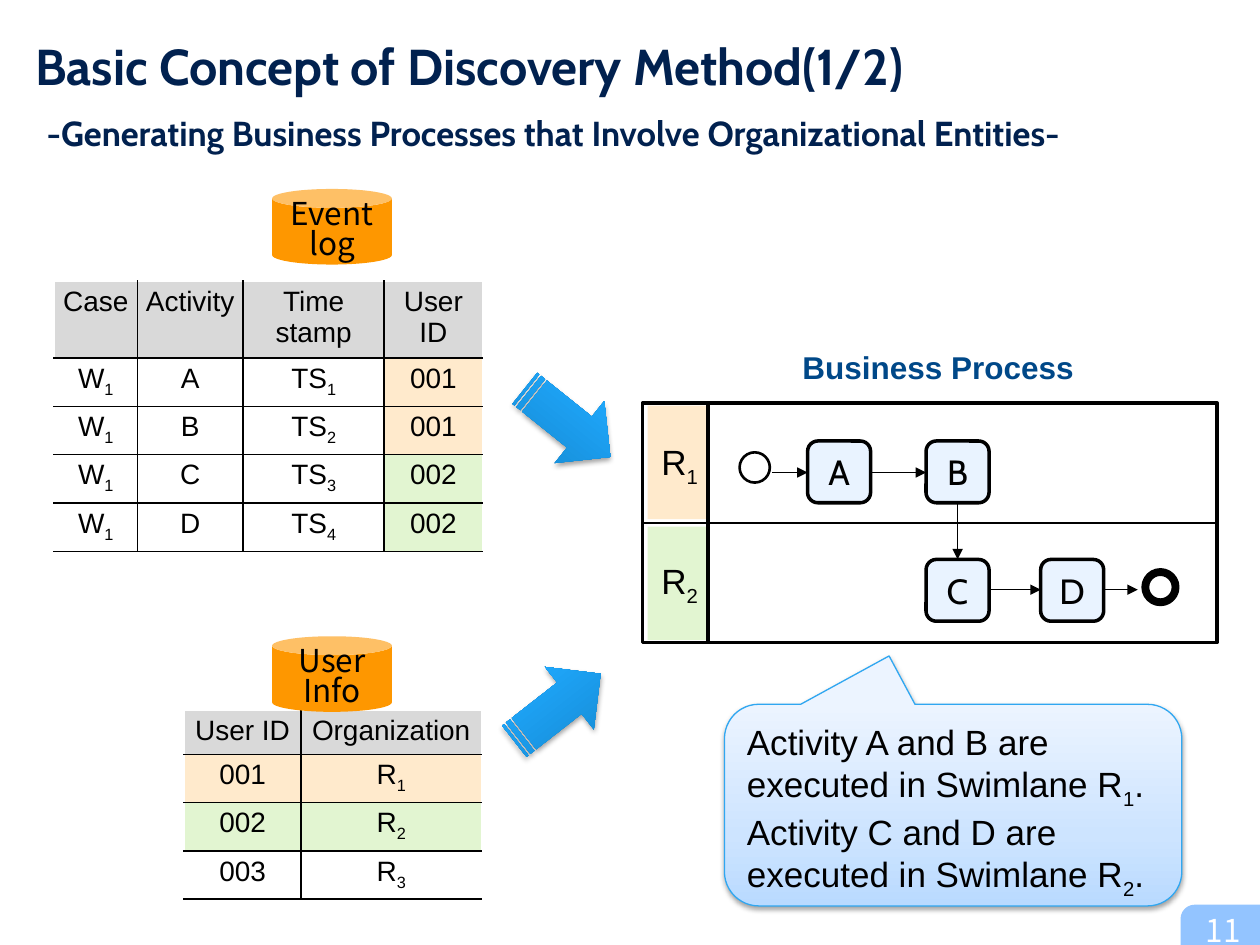
from lxml import etree
from pptx import Presentation
from pptx.dml.color import RGBColor
from pptx.enum import shapes, text
from pptx.oxml import parse_xml
from pptx.oxml.ns import nsdecls, qn
from pptx.util import Inches, Pt

color = RGBColor.from_string
KIND = shapes.MSO_SHAPE
LEFT, CENTER = text.PP_ALIGN.LEFT, text.PP_ALIGN.CENTER
TOP, MIDDLE, BOTTOM = text.MSO_ANCHOR.TOP, text.MSO_ANCHOR.MIDDLE, text.MSO_ANCHOR.BOTTOM
BLACK, WHITE, GRAY, ORANGE, GREEN = "000000", "FFFFFF", "D9D9D9", "FFEACC", "E2F5D1"

presentation = Presentation()
presentation.slide_width, presentation.slide_height = Inches(10), Inches(7.5)
slide = presentation.slides.add_slide(presentation.slide_layouts[6])


def write(frame, lines, size, font="Arial", ink=BLACK, align=CENTER, anchor=TOP, bold=False, wrap=True):
    frame.word_wrap = wrap
    frame.vertical_anchor = anchor
    for index, line in enumerate(lines):
        paragraph = frame.paragraphs[0] if index == 0 else frame.add_paragraph()
        paragraph.alignment = align
        paragraph.font.size, paragraph.font.name, paragraph.font.bold = Pt(size), font, bold
        paragraph.font.color.rgb = color(ink)
        base, *subscripts = line.split("_")
        paragraph.add_run().text = base
        for part in subscripts:
            run = paragraph.add_run()
            run.text = part[0]
            run.font._element.set("baseline", "-25000")
            if part[1:]:
                paragraph.add_run().text = part[1:]


def add_shape(kind, left, top, width, height, fill=None, line=None, weight=1):
    shape = slide.shapes.add_shape(kind, Inches(left), Inches(top), Inches(width), Inches(height))
    shape.shadow.inherit = False
    if fill:
        shape.fill.solid()
        shape.fill.fore_color.rgb = color(fill)
    else:
        shape.fill.background()
    if line:
        shape.line.color.rgb = color(line)
        shape.line.width = Pt(weight)
    else:
        shape.line.fill.background()
    return shape


corner = add_shape(KIND.ROUND_1_RECTANGLE, 9.37, 7.18, 0.63, 0.32, "93C4FF")
corner.adjustments[0] = 0.35
corner._element.spPr.xfrm.set("flipH", "1")
number = slide.shapes.add_textbox(Inches(9.4), Inches(7.08), Inches(0.62), Inches(0.45)).text_frame
number.margin_left = number.margin_right = number.margin_top = number.margin_bottom = 0
write(number, ["11"], 18, "Noto Sans CJK JP", WHITE, anchor=BOTTOM)

title = slide.shapes.add_textbox(Inches(0.28), Inches(0.23), Inches(9.43), Inches(1.18)).text_frame
title.margin_left = title.margin_right = 0
write(title, ["Basic Concept of Discovery Method(1/2)"], 28.8, "Cabin", "01214F", LEFT, bold=True)
heading = title.paragraphs[0]
heading.add_line_break()
heading.add_run().text = " "
subtitle = heading.add_run()
subtitle.text = "-Generating Business Processes that Involve Organizational Entities-"
subtitle.font.size = Pt(19.8)

event_rows = [["Case", "Activity", "Time stamp", "User ID"]]
for index, (activity, user) in enumerate(zip("ABCD", ["001", "001", "002", "002"]), 1):
    event_rows.append(["W_1", activity, f"TS_{index}", user])
user_rows = [["User ID", "Organization"], ["001", "R_1"], ["002", "R_2"], ["003", "R_3"]]
fills = {"001": ORANGE, "002": GREEN, "R_1": ORANGE, "R_2": GREEN}

for left, top, widths, header_height, rows in [
    (0.43, 2.23, [0.66, 0.84, 1.12, 0.78], 0.57, event_rows),
    (1.46, 5.64, [0.93, 1.43], 0.32, user_rows),
]:
    heights = [header_height] + [0.36] * (len(rows) - 1)
    table = slide.shapes.add_table(len(rows), len(widths), Inches(left), Inches(top),
                                   Inches(sum(widths)), Inches(sum(heights))).table
    table.first_row = table.horz_banding = False
    for column, width in zip(table.columns, widths):
        column.width = Inches(width)
    for row_index, values in enumerate(rows):
        table.rows[row_index].height = Inches(heights[row_index])
        for column_index, value in enumerate(values):
            cell = table.cell(row_index, column_index)
            cell.margin_left = cell.margin_right = cell.margin_top = cell.margin_bottom = Inches(0.04)
            write(cell.text_frame, [value], 16)
            cell.vertical_anchor = TOP
            edges = ["lnL"] * (column_index > 0) + ["lnR"] * (column_index < len(widths) - 1)
            edges += ["lnT"] * (row_index > 0) + ["lnB"]
            for edge in edges:
                cell._tc.get_or_add_tcPr().append(parse_xml(
                    f'<a:{edge} {nsdecls("a")} w="12700"><a:solidFill><a:srgbClr val="{BLACK}"/>'
                    f'</a:solidFill></a:{edge}>'))
            cell.fill.solid()
            cell.fill.fore_color.rgb = color(GRAY if row_index == 0 else fills.get(value, WHITE))

for top, label_top, fill, label in [(3.22, 3.45, ORANGE, "R_1"), (4.18, 4.39, GREEN, "R_2")]:
    add_shape(KIND.RECTANGLE, 5.14, top, 0.47, 0.9, fill)
    lane_label = slide.shapes.add_textbox(Inches(5.15), Inches(label_top), Inches(0.51), Inches(0.44))
    write(lane_label.text_frame, [label], 20, align=LEFT, wrap=False)

for activity, left, top in [("A", 6.41, 3.5), ("B", 7.35, 3.5), ("C", 7.35, 4.44), ("D", 8.26, 4.44)]:
    task = add_shape(KIND.ROUNDED_RECTANGLE, left, top, 0.5, 0.49, "E9F3FF", BLACK, 2)
    write(task.text_frame, [activity], 20, "Cabin", anchor=MIDDLE)

for left, width in [(5.62, 4.04), (5.1, 0.52)]:
    add_shape(KIND.RECTANGLE, left, 3.2, width, 1.9, None, BLACK, 2)

for x1, y1, x2, y2, arrow in [
    (6.13, 3.75, 6.41, 3.75, True), (6.91, 3.75, 7.35, 3.75, True), (7.6, 4, 7.6, 4.44, True),
    (7.85, 4.68, 8.26, 4.68, True), (8.77, 4.68, 9.03, 4.68, True), (5.1, 4.15, 9.67, 4.15, False),
]:
    connector = slide.shapes.add_connector(shapes.MSO_CONNECTOR.STRAIGHT, Inches(x1), Inches(y1),
                                           Inches(x2), Inches(y2))
    connector.line.color.rgb = color(BLACK)
    connector.line.width = Pt(0.75)
    if arrow:
        etree.SubElement(connector.line._get_or_add_ln(), qn("a:tailEnd"), type="triangle")
    etree.SubElement(connector._element.spPr, qn("a:effectLst"))

for left, top, weight in [(5.87, 3.59, 1.5), (9.09, 4.54, 4.5)]:
    add_shape(KIND.FLOWCHART_CONNECTOR, left, top, 0.24, 0.24, None, BLACK, weight)

for top, lines in [(1.5, ["Event log"]), (5.05, ["User", "Info"])]:
    store = add_shape(KIND.CAN, 2.16, top, 0.95, 0.6, "FE9700")
    write(store.text_frame, lines, 18, "Noto Sans CJK JP", anchor=MIDDLE)
    for paragraph in store.text_frame.paragraphs:
        paragraph.line_spacing = 0.8

process_label = slide.shapes.add_textbox(Inches(6.27), Inches(2.71), Inches(2.48), Inches(0.4))
write(process_label.text_frame, ["Business Process"], 18, ink="004888", align=LEFT, bold=True)

arrow_stops = [(0, "1384CA"), (80, "20AAFF"), (100, "21AAFF")]
callout_stops = [(0, "B9DAFF"), (35, "CDE4FF"), (100, "ECF4FF")]
glossy = []
for top, rotation, left in [(3.04, 38.7, 4.07), (5.3, 322, 3.99)]:
    arrow = add_shape(KIND.STRIPED_RIGHT_ARROW, left, top, 0.87, 0.63)
    arrow.rotation = rotation
    glossy.append((arrow, arrow_stops))

callout = add_shape(KIND.ROUNDED_RECTANGULAR_CALLOUT, 5.75, 5.59, 3.63, 1.6, None, "30A7F1", 0.75)
for index, value in enumerate([-0.14, -0.74, 0.17]):
    callout.adjustments[index] = value
write(callout.text_frame, ["Activity A and B are executed in Swimlane R_1.",
                           "Activity C and D are executed in Swimlane R_2."], 20, align=LEFT)
glossy.append((callout, callout_stops))

for shape, stops in glossy:
    shape.fill.gradient()
    shape.fill.gradient_angle = 90
    properties = shape._element.spPr
    stop_list = properties.find(".//" + qn("a:gsLst"))
    stop_list.clear()
    for position, value in stops:
        stop = etree.SubElement(stop_list, qn("a:gs"), pos=str(position * 1000))
        etree.SubElement(stop, qn("a:srgbClr"), val=value)
    shadow = etree.SubElement(properties.find(qn("a:effectLst")), qn("a:outerShdw"), blurRad=str(Pt(3.1)),
                              dist=str(Pt(1.7)), dir="5400000", rotWithShape="0")
    shade = etree.SubElement(shadow, qn("a:srgbClr"), val=BLACK)
    etree.SubElement(shade, qn("a:alpha"), val="36000")

presentation.save("out.pptx")
